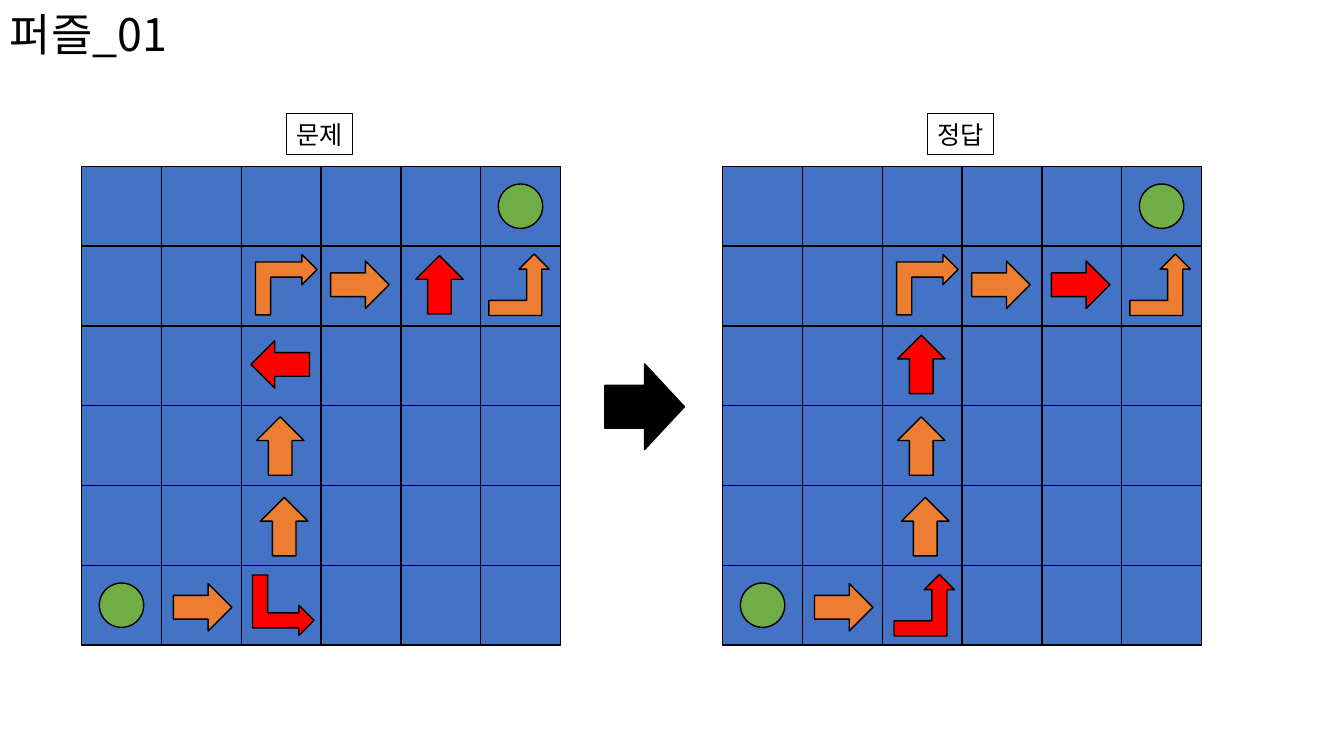
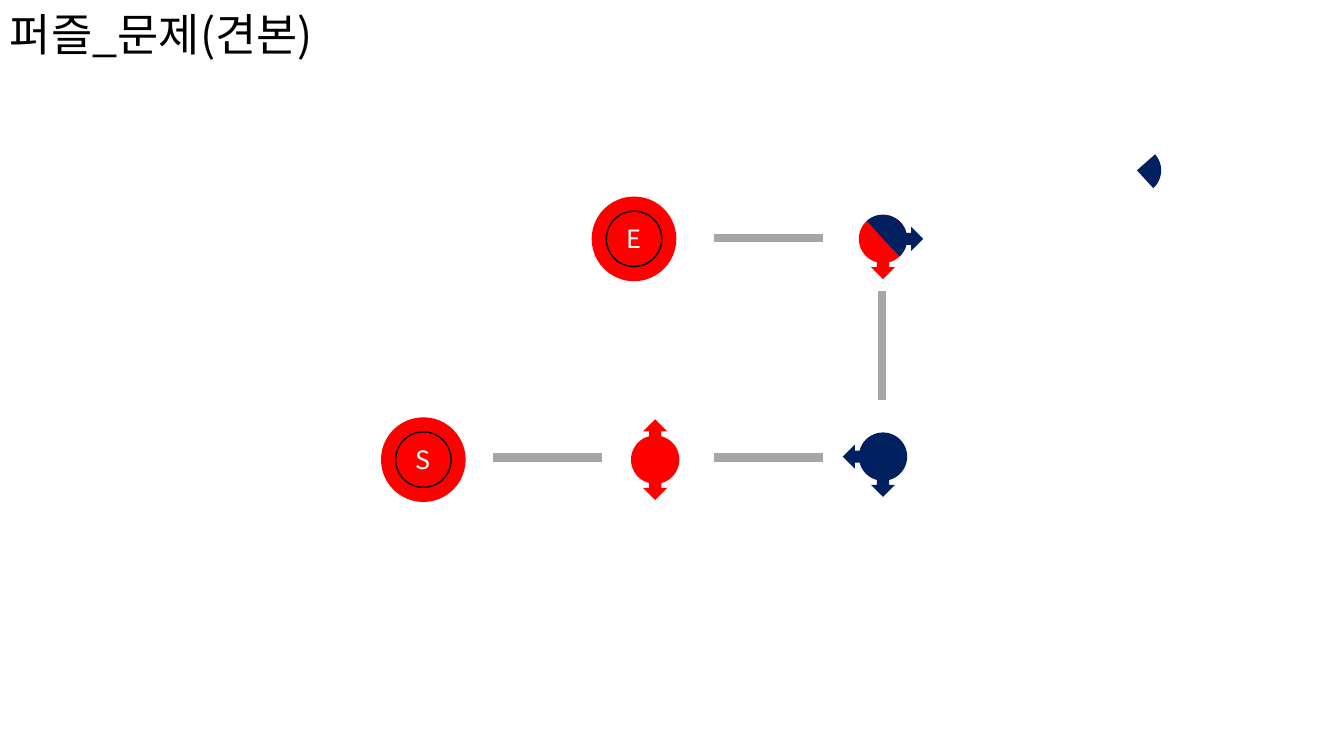
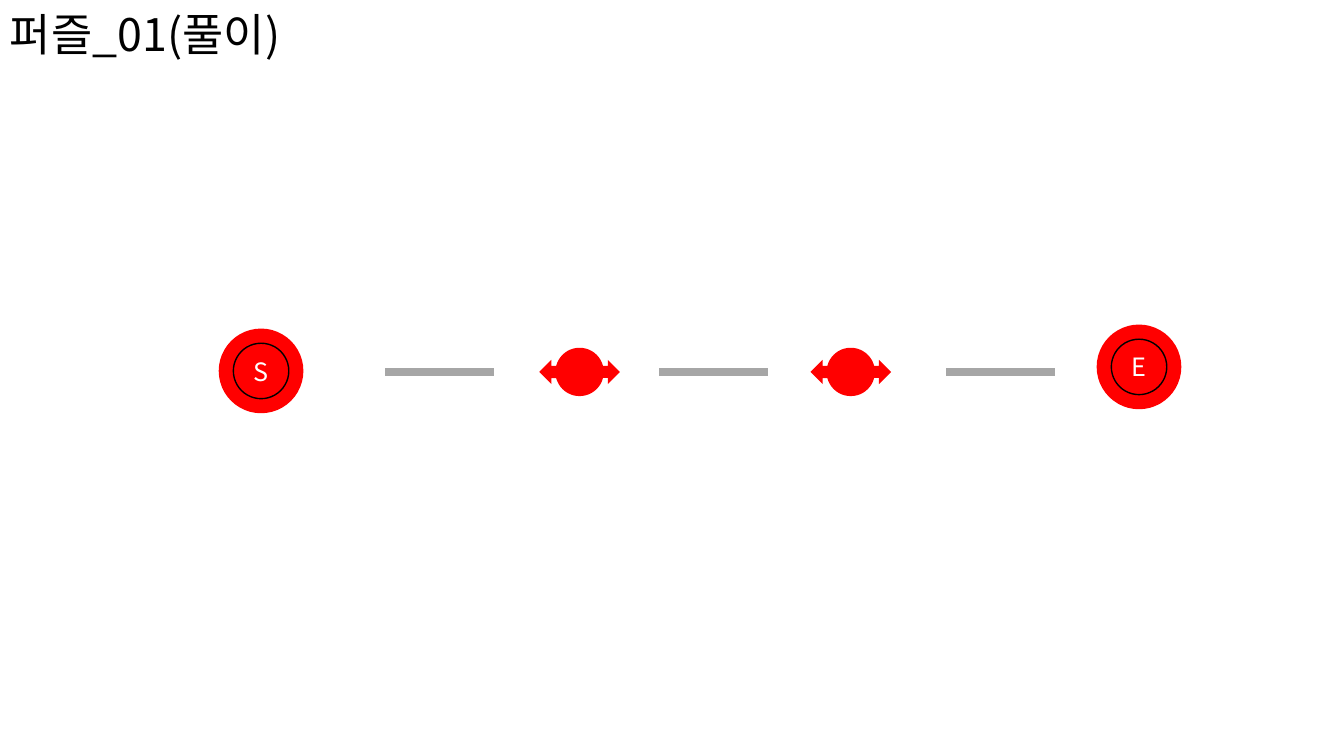
"""Build three slides of an arrow-path puzzle: board, sample and solution."""
from pptx import Presentation
from pptx import util as u
from pptx.dml.color import RGBColor
from pptx.enum import shapes, text
from pptx.oxml.ns import qn
from lxml import etree

PX = 9144
FONT = "Noto Sans CJK KR"
BLACK, WHITE, RED, NAVY = "000000", "FFFFFF", "FF0000", "002060"
BLUE, GREEN, ORANGE, GREY = "4472C4", "70AD47", "ED7D31", "A6A6A6"
G = shapes.MSO_SHAPE
RIGHT, DOWN, LEFT, UP = 0, 90, 180, 270
STEP = {RIGHT: (1, 0), DOWN: (0, 1), LEFT: (-1, 0), UP: (0, -1)}

BOARD_TOP, BOARD_SIZE, CELLS = 165, 475, 6
GOALS = [(0, 5), (5, 0)]
ARROW, BENT = (58, 47), (60, 61)
FIXED_ARROWS = [(91, 414, RIGHT), (172, 334, UP), (168, 254, UP), (247, 94, RIGHT)]
FIXED_BENDS = [(173, 87, UP, True), (404, 87, RIGHT, False)]
BOARDS = [
    {"label": "문제", "left": 81, "bend": DOWN,
     "arrows": [(168, 173, LEFT), (326, 94, UP)]},
    {"label": "정답", "left": 717, "bend": RIGHT,
     "arrows": [(168, 173, UP), (326, 94, RIGHT)]},
]

PATHS = [
    {"title": "퍼즐_문제(견본)",
     "links": [(489, 454, RIGHT), (708, 454, RIGHT), (875, 289, DOWN), (708, 236, RIGHT)],
     "ends": [("S", 420, 456), ("E", 629, 237)],
     "nodes": [(650, 456, RED, [(UP, RED), (DOWN, RED)]),
               (876, 453, NAVY, [(DOWN, NAVY), (LEFT, NAVY)]),
               (876, 237, RED, [(DOWN, RED), (RIGHT, NAVY)])],
     "wedges": [(876, 237, 317.1), (876, 237, 228.5), (1128, 169, 318.5)]},
    {"title": "퍼즐_01(풀이)",
     "links": [(382, 369, RIGHT), (654, 369, RIGHT), (939, 369, RIGHT)],
     "ends": [("S", 259, 368), ("E", 1130, 364)],
     "nodes": [(x, 369, RED, [(RIGHT, RED), (LEFT, RED)]) for x in (575, 844)],
     "wedges": []},
]
NODE, WEDGE_SWEEP, LINK = 48, 53.52, 108


def px(n):
    return u.Emu(round(n * PX))


def rgb(h):
    return RGBColor.from_string(h)


def write(sp, words, size, color, align=None):
    p = sp.text_frame.paragraphs[0]
    p.text = words
    p.alignment = align
    for r in p.runs:
        r.font.size, r.font.name = u.Pt(size), FONT
        r.font.color.rgb = rgb(color)
        ea = etree.Element(qn("a:ea"), typeface=FONT)
        r.font._element.find(qn("a:latin")).addnext(ea)
    return p


def shape(parent, kind, x, y, w, h, fill, line=None, rot=0):
    sp = parent.shapes.add_shape(kind, px(x), px(y), px(w), px(h))
    sp.shadow.inherit = False
    sp.fill.solid()
    sp.fill.fore_color.rgb = rgb(fill)
    if line:
        sp.line.color.rgb = rgb(line)
        sp.line.width = u.Pt(1)
    else:
        sp.line.fill.background()
    sp.rotation = rot
    return sp


def centred(parent, kind, cx, cy, w, h, *style):
    return shape(parent, kind, cx - w / 2, cy - h / 2, w, h, *style)


def new_slide(prs, title):
    s = prs.slides.add_slide(prs.slide_layouts[6])
    tb = s.shapes.add_textbox(0, 0, px(1150), px(74))
    tb.text_frame.word_wrap = True
    tb.text_frame.vertical_anchor = text.MSO_ANCHOR.MIDDLE
    write(tb, title, 32, BLACK).line_spacing = 0.9
    return s


def draw_board(s, board):
    left, cell = board["left"], BOARD_SIZE / CELLS
    grid = s.shapes.add_group_shape()
    for row in reversed(range(CELLS)):
        for col in range(CELLS):
            shape(grid, G.RECTANGLE, left + col * cell, BOARD_TOP + row * cell,
                  cell, cell, BLUE, BLACK)
    for col, row in GOALS:
        centred(s, G.OVAL, left + (col + 0.5) * cell, BOARD_TOP + (row + 0.5) * cell,
                44, 44, GREEN, BLACK)
    for color, arrows in ((ORANGE, FIXED_ARROWS), (RED, board["arrows"])):
        for x, y, rot in arrows:
            shape(s, G.RIGHT_ARROW, left + x, BOARD_TOP + y, *ARROW, color, BLACK, rot)
    bends = [(ORANGE, *b) for b in FIXED_BENDS] + [(RED, 170, 405, board["bend"], False)]
    for color, x, y, rot, flip in bends:
        sp = shape(s, G.BENT_UP_ARROW, left + x, BOARD_TOP + y, *BENT, color, BLACK, rot)
        if flip:
            sp._element.spPr.find(qn("a:xfrm")).set("flipV", "1")
    tb = s.shapes.add_textbox(px(left + 203), px(113), px(66), px(40))
    tb.text_frame.word_wrap = False
    tb.text_frame.auto_size = text.MSO_AUTO_SIZE.SHAPE_TO_FIT_TEXT
    tb.line.color.rgb = rgb(BLACK)
    tb.line.width = u.Pt(0.75)
    write(tb, board["label"], 18, BLACK)


def draw_link(s, x, y, way):
    dx, dy = STEP[way]
    c = s.shapes.add_connector(shapes.MSO_CONNECTOR.STRAIGHT, px(x), px(y),
                               px(x + dx * LINK), px(y + dy * LINK))
    c.line.color.rgb = rgb(GREY)
    c.line.width = u.Pt(6)
    etree.SubElement(c._element.spPr, qn("a:effectLst"))


def draw_end(s, letter, cx, cy):
    end = s.shapes.add_group_shape()
    centred(end, G.OVAL, cx, cy, 84, 84, RED)
    sp = centred(end, G.OVAL, cx, cy, 55, 55, RED, BLACK)
    write(sp, letter, 18, WHITE, text.PP_ALIGN.CENTER)


def draw_node(s, cx, cy, color, arrows):
    node = s.shapes.add_group_shape()
    for way, fill in arrows:
        dx, dy = STEP[way]
        centred(node, G.RIGHT_ARROW, cx + dx * 22.5, cy + dy * 22.5, 35, 24, fill, None, way)
    centred(node, G.OVAL, cx, cy, NODE, NODE, color)


def draw_path(s, path):
    for link in path["links"]:
        draw_link(s, *link)
    for end in path["ends"]:
        draw_end(s, *end)
    for node in path["nodes"]:
        draw_node(s, *node)
    for cx, cy, rot in path["wedges"]:
        sp = centred(s, G.PIE, cx, cy, NODE, NODE, NAVY, None, rot)
        sp.adjustments[0], sp.adjustments[1] = 0, WEDGE_SWEEP


def main():
    prs = Presentation()
    prs.slide_width, prs.slide_height = u.Emu(12192000), px(750)
    s = new_slide(prs, "퍼즐_01")
    for board in BOARDS:
        draw_board(s, board)
    shape(s, G.RIGHT_ARROW, 600, 361, 79, 85, BLACK, BLACK)
    for path in PATHS:
        draw_path(new_slide(prs, path["title"]), path)
    prs.save("out.pptx")


if __name__ == "__main__":
    main()
